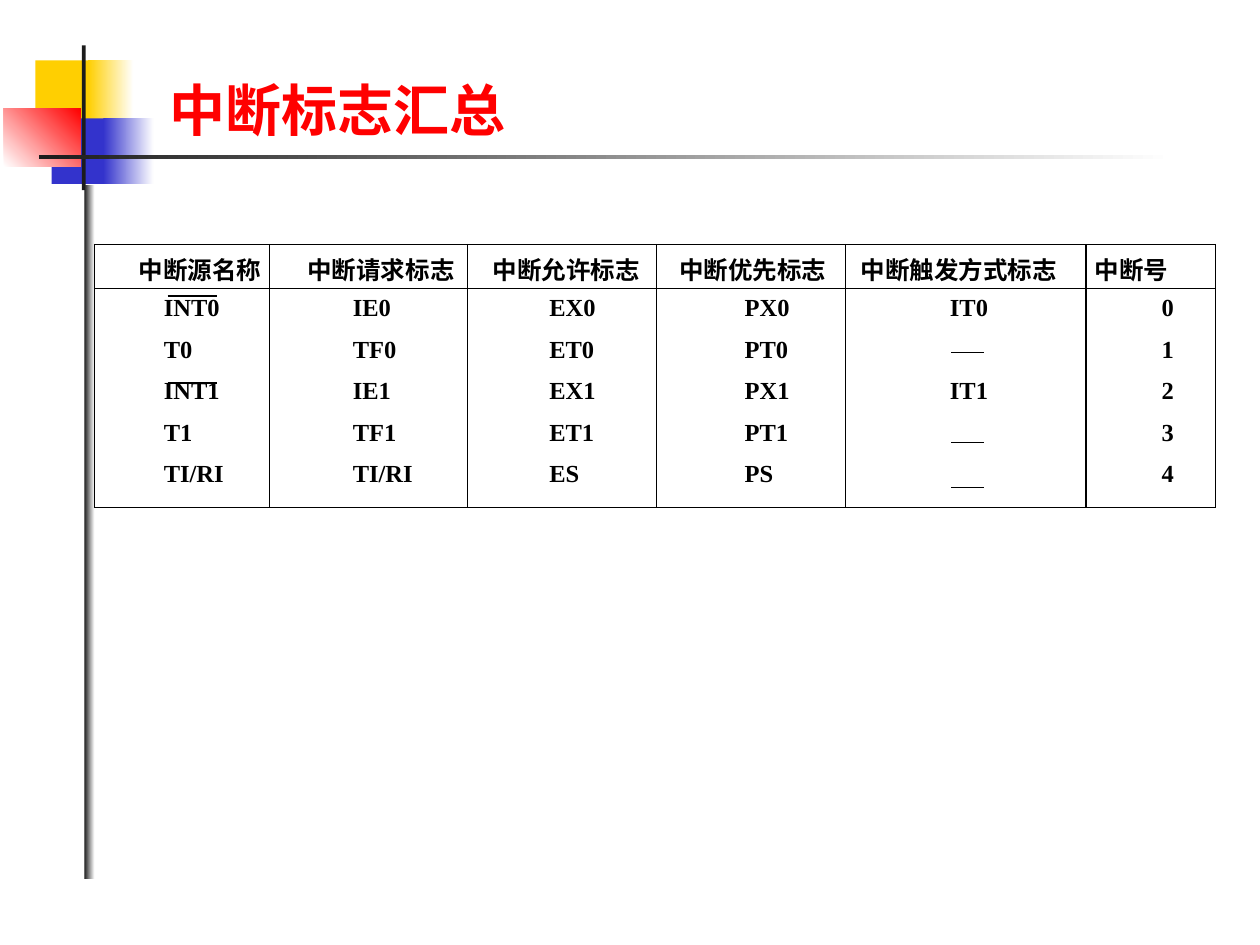
import pptx
import pptx.dml.color
import pptx.enum.shapes
import pptx.enum.text
import pptx.oxml
import pptx.oxml.ns
import pptx.util
from pptx.util import Inches

COLORS = {"yellow": "FFCF01", "blue": "3333CC", "red": "FF0000",
          "dark": "1C1C1C", "black": "000000", "white": "FFFFFF"}

# heading, column width, heading indent, value indent
COLUMNS = [("中断源名称", 1.39, 0.35, 0.55),
           ("中断请求标志", 1.57, 0.30, 0.66),
           ("中断允许标志", 1.50, 0.20, 0.65),
           ("中断优先标志", 1.50, 0.18, 0.70),
           ("中断触发方式标志", 1.91, 0.12, 0.83),
           ("中断号", 1.03, 0.07, 0.60)]
INTERRUPTS = [("INT0", "IE0", "EX0", "PX0", "IT0", "0"),
              ("T0", "TF0", "ET0", "PT0", "", "1"),
              ("INT1", "IE1", "EX1", "PX1", "IT1", "2"),
              ("T1", "TF1", "ET1", "PT1", "", "3"),
              ("TI/RI", "TI/RI", "ES", "PS", "", "4")]
ROW_HEIGHTS = [0.35] + [0.33] * 4 + [0.42]


def rgb(name):
    return pptx.dml.color.RGBColor.from_string(COLORS[name])


def add_block(slide, left, top, width, height, start, end=None, angle=0):
    """Rectangle in one colour, or fading from start to end."""
    block = slide.shapes.add_shape(
        pptx.enum.shapes.MSO_SHAPE.RECTANGLE,
        Inches(left), Inches(top), Inches(width), Inches(height))
    block.shadow.inherit = False
    block.line.fill.background()
    if end is None:
        block.fill.solid()
        block.fill.fore_color.rgb = rgb(start)
        return
    block.fill.gradient()
    block.fill.gradient_angle = angle
    for stop, name, position in zip(block.fill.gradient_stops, (start, end), (0, 1)):
        stop.color.rgb = rgb(name)
        stop.position = position


def add_rule(slide, left, top, width, weight):
    rule = slide.shapes.add_connector(
        pptx.enum.shapes.MSO_CONNECTOR.STRAIGHT,
        Inches(left), Inches(top), Inches(left + width), Inches(top))
    rule.line.color.rgb = rgb("black")
    rule.line.width = pptx.util.Pt(weight)
    properties = rule._element.spPr
    properties.append(pptx.oxml.parse_xml(
        f'<a:effectLst {pptx.oxml.ns.nsdecls("a")}/>'))


def add_decoration(slide, left, top):
    """Coloured squares with the crossing bars, from the top left corner given."""
    for x, y, width, height, *colors in [
            (0.25, 0.12, 0.48, 0.52, "yellow"),
            (0.67, 0.12, 0.36, 0.52, "yellow", "white"),
            (0.38, 0.58, 0.46, 0.52, "blue"),
            (0.79, 0.58, 0.40, 0.52, "blue", "white"),
            (0.00, 0.50, 0.61, 0.46, "white", "red", 45),
            (0.62, 0.00, 0.03, 1.15, "dark"),
            (0.28, 0.87, 9.00, 0.03, "dark", "white"),
            (0.64, 1.11, 0.08, 5.51, "dark", "white")]:
        add_block(slide, left + x, top + y, width, height, *colors)


def format_text(frame, size, font, color):
    run_font = frame.paragraphs[0].font
    if frame.paragraphs[0].runs:
        run_font = frame.paragraphs[0].runs[0].font
    run_font.size = pptx.util.Pt(size)
    run_font.name = font
    run_font.bold = True
    run_font.color.rgb = rgb(color)


def add_title(slide, left, top, width, height):
    title = slide.shapes.add_textbox(
        Inches(left), Inches(top), Inches(width), Inches(height))
    frame = title.text_frame
    frame.word_wrap = True
    frame.vertical_anchor = pptx.enum.text.MSO_ANCHOR.BOTTOM
    frame.text = "中断标志汇总"
    format_text(frame, 32, "Open Sans", "red")


def set_borders(cell, sides):
    """Draw the sides named in the string (of L, R, T, B) and clear the others."""
    properties = cell._tc.get_or_add_tcPr()
    for index, side in enumerate("LRTB"):
        paint = "<a:noFill/>"
        if side in sides:
            paint = f'<a:solidFill><a:srgbClr val="{COLORS["black"]}"/></a:solidFill>'
        properties.insert(index, pptx.oxml.parse_xml(
            f'<a:ln{side} {pptx.oxml.ns.nsdecls("a")} w="9525">{paint}</a:ln{side}>'))


def add_flag_table(slide, left, top):
    headings, widths, heading_indents, value_indents = zip(*COLUMNS)
    rows = [headings] + INTERRUPTS
    flags = slide.shapes.add_table(
        len(rows), len(COLUMNS), Inches(left), Inches(top),
        Inches(sum(widths)), Inches(sum(ROW_HEIGHTS))).table
    flags.first_row = flags.horz_banding = False
    for column, width in zip(flags.columns, widths):
        column.width = Inches(width)
    for r, values in enumerate(rows):
        flags.rows[r].height = Inches(ROW_HEIGHTS[r])
        indents = value_indents if r else heading_indents
        sides = "LR" + ("TB" if r == 0 else "T" if r == 1 else
                        "B" if r == len(rows) - 1 else "")
        for c, value in enumerate(values):
            cell = flags.cell(r, c)
            cell.text = value
            cell.margin_left, cell.margin_right = Inches(indents[c]), 0
            cell.margin_top, cell.margin_bottom = Inches(0.05), 0
            cell.fill.solid()
            cell.fill.fore_color.rgb = rgb("white")
            set_borders(cell, sides)
            format_text(cell.text_frame, 14, "Times New Roman", "black")

    for overline_top in (0.41, 1.10):
        add_rule(slide, left + 0.58, top + overline_top, 0.39, 1.5)
    for dash_top in (0.86, 1.57, 1.93):
        add_rule(slide, left + 6.80, top + dash_top, 0.26, 0.75)


def main():
    deck = pptx.Presentation()
    deck.slide_width, deck.slide_height = Inches(10), Inches(7.5)
    slide = deck.slides.add_slide(deck.slide_layouts[6])
    add_decoration(slide, 0.03, 0.36)
    add_title(slide, 1.25, 0.64, 8.75, 0.54)
    add_flag_table(slide, 0.75, 1.94)
    deck.save("out.pptx")


if __name__ == "__main__":
    main()
